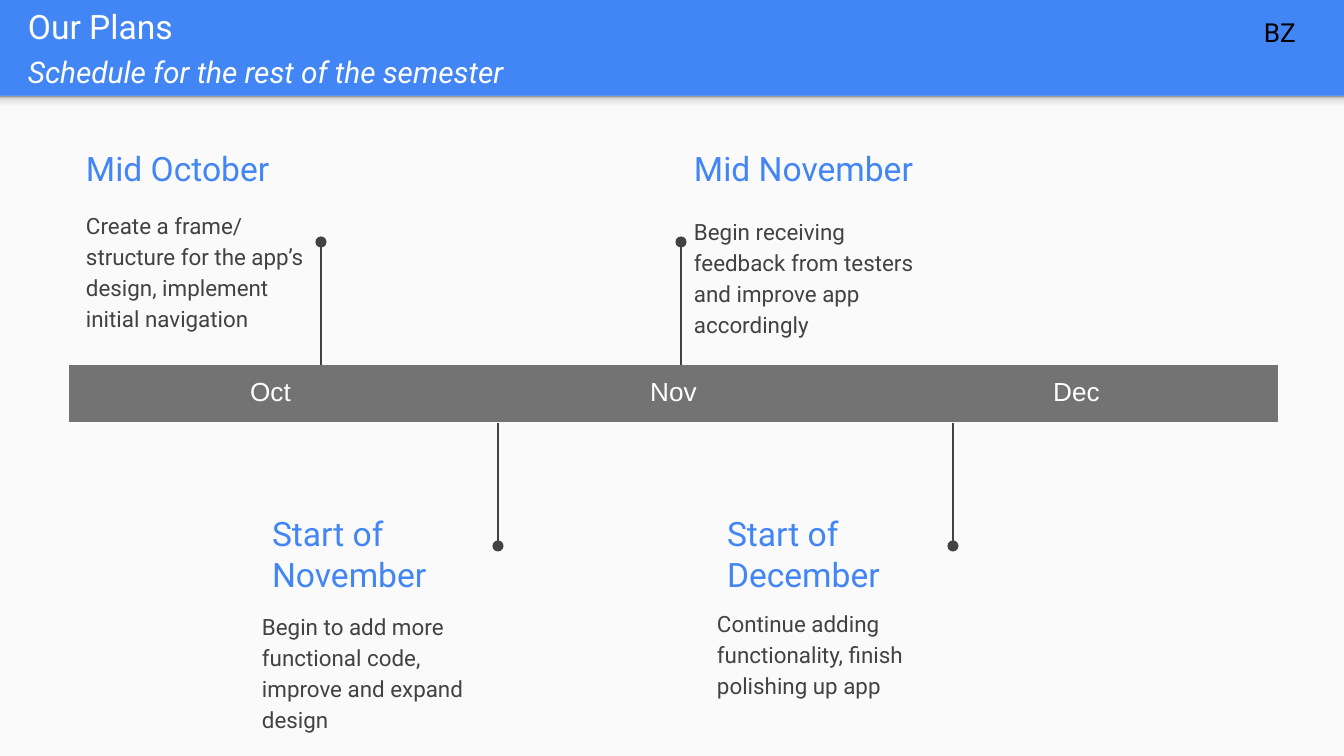
import copy
from dataclasses import dataclass

import pptx
import pptx.dml.color
import pptx.enum.shapes
import pptx.enum.text
import pptx.oxml
import pptx.oxml.ns
import pptx.util

SCALE = 914400 / 134.4
WIDTH, HEIGHT = 1344, 756
INSET = 13


@dataclass(frozen=True)
class Theme:
    font: str = "Roboto"
    plain: str = "Arial"
    blue: str = "4285F4"
    pale: str = "FAFAFA"
    white: str = "FFFFFF"
    black: str = "000000"
    dark: str = "424242"
    gray: str = "737373"
    fade: tuple = ((0, "F9F9F9"), (0.36, "F9F9F9"), (0.8, "DEDEDE"), (1, "999999"))
    head: int = 18
    sub: int = 16
    label: int = 14
    body: int = 12
    line: float = 0.75


THEME = Theme()


def px(num):
    return pptx.util.Emu(round(num * SCALE))


def rgb(code):
    return pptx.dml.color.RGBColor.from_string(code)


def node(tag, inner=""):
    return pptx.oxml.parse_xml(f"<a:{tag} {pptx.oxml.ns.nsdecls('a')}>{inner}</a:{tag}>")


def pad(item):
    item.margin_left = item.margin_right = px(INSET)
    item.margin_top = item.margin_bottom = px(INSET)


def add_run(para, text, size, color, font=THEME.font, italic=False):
    run = para.add_run()
    run.text = text
    run.font.name = font
    run.font.size = pptx.util.Pt(size)
    run.font.color.rgb = rgb(color)
    run.font.italic = italic


def add_box(slide, left, top, width, height, middle=False):
    frame = slide.shapes.add_textbox(px(left), px(top), px(width), px(height)).text_frame
    frame.word_wrap = True
    pad(frame)
    anchor = pptx.enum.text.MSO_ANCHOR
    frame.vertical_anchor = anchor.MIDDLE if middle else anchor.TOP
    return frame


def add_rect(slide, top, height):
    kind = pptx.enum.shapes.MSO_SHAPE.RECTANGLE
    shape = slide.shapes.add_shape(kind, 0, px(top), px(WIDTH), px(height))
    shape.shadow.inherit = False
    shape.line.fill.background()
    return shape


def add_panel(slide, top):
    panel = add_rect(slide, top, HEIGHT - top)
    panel.fill.solid()
    panel.fill.fore_color.rgb = rgb(THEME.pale)
    shade = add_rect(slide, top, 16)
    shade.fill.gradient()
    shade.fill.gradient_angle = 90
    stops = shade._element.spPr.find(".//" + pptx.oxml.ns.qn("a:gsLst"))
    while len(stops) < len(THEME.fade):
        stops.append(copy.deepcopy(stops[0]))
    for stop, (place, color) in zip(shade.fill.gradient_stops, THEME.fade):
        stop.position = place
        stop.color.rgb = rgb(color)


def add_title(slide):
    frame = add_box(slide, 15, 3, 1297, 89, middle=True)
    add_run(frame.paragraphs[0], "Our Plans", THEME.head, THEME.white)
    para = frame.add_paragraph()
    para.space_before = para.space_after = pptx.util.Pt(4)
    add_run(para, "Schedule for the rest of the semester", THEME.sub, THEME.white, italic=True)


def add_head(slide, text, *area):
    frame = add_box(slide, *area, middle=True)
    add_run(frame.paragraphs[0], text, THEME.head, THEME.blue)


def add_body(slide, text, left, top):
    para = add_box(slide, left, top, 249, 164).paragraphs[0]
    para.line_spacing = 1.15
    para.space_after = pptx.util.Pt(16)
    add_run(para, text, THEME.body, THEME.dark)


def add_pin(slide, left, start, end):
    kind = pptx.enum.shapes.MSO_CONNECTOR.STRAIGHT
    pin = slide.shapes.add_connector(kind, px(left), px(start), px(left), px(end))
    pin.line.color.rgb = rgb(THEME.dark)
    pin.line.width = pptx.util.Pt(THEME.line)
    tail = node("tailEnd")
    tail.set("type", "oval")
    pin.line._get_or_add_ln().append(tail)
    pin._element.spPr.append(node("effectLst"))


def add_months(slide, names):
    table = slide.shapes.add_table(
        1, len(names), px(69), px(365), px(403 * len(names)), px(56)
    ).table
    table.first_row = table.horz_banding = False
    for cell, name in zip(table.iter_cells(), names):
        pad(cell)
        cell.fill.solid()
        cell.fill.fore_color.rgb = rgb(THEME.gray)
        for spot, side in enumerate(("lnL", "lnR", "lnT", "lnB")):
            cell._tc.get_or_add_tcPr().insert(spot, node(side, "<a:noFill/>"))
        para = cell.text_frame.paragraphs[0]
        para.alignment = pptx.enum.text.PP_ALIGN.CENTER
        add_run(para, name, THEME.label, THEME.white, THEME.plain)


def main():
    deck = pptx.Presentation()
    deck.slide_width, deck.slide_height = px(WIDTH), px(HEIGHT)
    slide = deck.slides.add_slide(deck.slide_layouts[6])
    back = slide.background.fill
    back.solid()
    back.fore_color.rgb = rgb(THEME.blue)
    add_panel(slide, 96)
    add_title(slide)
    add_months(slide, ("Oct", "Nov", "Dec"))

    upper = (
        (321, 73, 195, "Mid October",
         "Create a frame/ structure for the app’s design, implement initial navigation"),
        (681, 681, 201, "Mid November",
         "Begin receiving feedback from testers and improve app accordingly"),
    )
    for pin, left, top, head, body in upper:
        add_pin(slide, pin, 365, 242)
        add_head(slide, head, left, 139, 249, 58)
        add_body(slide, body, left, top)

    lower = (
        (498, 596, "Start of November",
         "Begin to add more functional code, improve and expand design"),
        (953, 593, "Start of December",
         "Continue adding functionality, finish polishing up app"),
    )
    for pin, top, head, body in lower:
        add_pin(slide, pin, 423, 546)
        add_head(slide, head, pin - 239, 511, 239, 85)
        add_body(slide, body, pin - 249, top)

    mark = add_box(slide, 1251, 3, 93, 59)
    add_run(mark.paragraphs[0], "BZ", THEME.label, THEME.black)
    deck.save("out.pptx")


if __name__ == "__main__":
    main()
